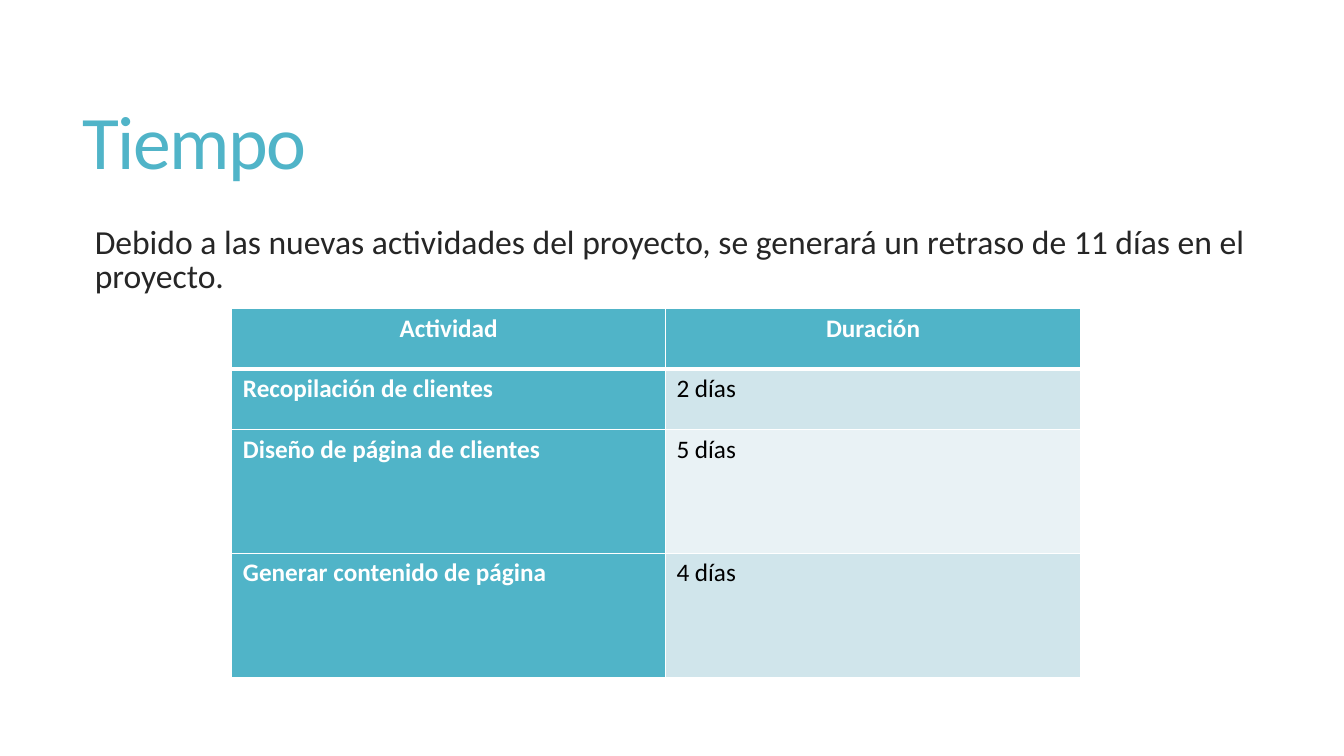
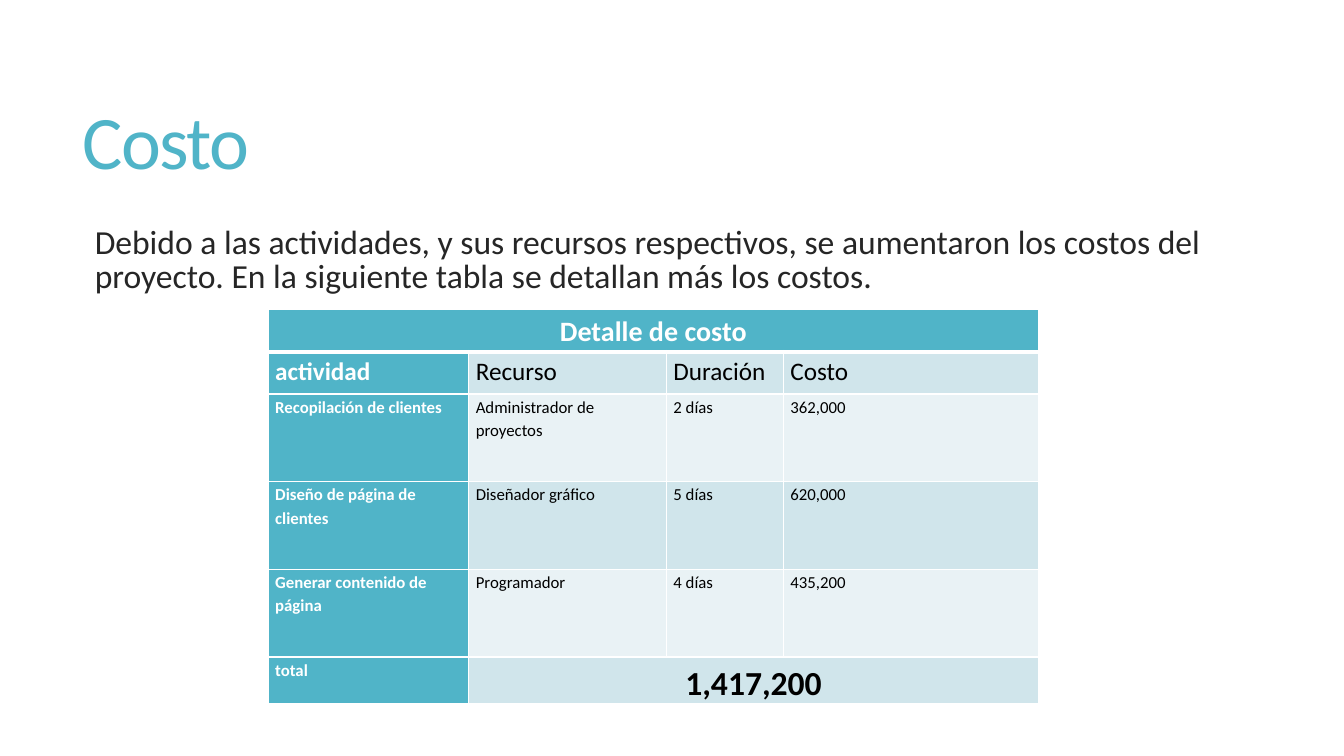
import pptx
import pptx.util
import pptx.dml.color
import pptx.enum.text
import pptx.oxml

Inches = pptx.util.Inches
Pt = pptx.util.Pt
RGB = pptx.dml.color.RGBColor
ALIGN = pptx.enum.text.PP_ALIGN
ANCHOR = pptx.enum.text.MSO_ANCHOR

# Shared style
FONT = "Calibri"
TEAL = RGB(0x50, 0xB4, 0xC8)
BAND = RGB(0xD0, 0xE5, 0xEB)
PALE = RGB(0xE9, 0xF2, 0xF5)
INK = RGB(0x26, 0x26, 0x26)
BLACK = RGB(0, 0, 0)
WHITE = RGB(0xFF, 0xFF, 0xFF)
NS = "http://schemas.openxmlformats.org/drawingml/2006/main"


def write(frame, text, size, color, bold=False, align=ALIGN.LEFT,
          line=1.0, before=0, after=0, track=0):
    frame.word_wrap = True
    para = frame.paragraphs[0]
    para.alignment = align
    para.line_spacing = line
    para.space_before = Pt(before)
    para.space_after = Pt(after)
    run = para.add_run()
    run.text = text
    font = run.font
    font.name, font.size, font.bold = FONT, Pt(size), bold
    font.color.rgb = color
    if track:
        run._r.get_or_add_rPr().set("spc", str(round(track * 100)))


def place(shape, left, top, width, height):
    shape.left, shape.top = Inches(left), Inches(top)
    shape.width, shape.height = Inches(width), Inches(height)


def add_page(deck, title, body):
    slide = deck.slides.add_slide(deck.slide_layouts[5])
    # Title
    head = slide.shapes.title
    place(head, 0.72, 0.55, 11.78, 1.81)
    frame = head.text_frame
    frame.auto_size = pptx.enum.text.MSO_AUTO_SIZE.NONE
    frame.vertical_anchor = ANCHOR.MIDDLE
    write(frame, title, 54, TEAL, line=0.85, track=-1.2)
    # Lead text
    box = slide.shapes.add_textbox(Inches(0.74), Inches(2.2),
                                   Inches(11.76), Inches(4.12))
    box.text_frame.margin_left = Inches(0.2)
    write(box.text_frame, body, 24, INK, line=0.85, before=13)
    return slide


def add_edges(cell, under):
    props = cell._tc.get_or_add_tcPr()
    for side, width in (("L", 1), ("R", 1), ("T", 1), ("B", under)):
        props.append(pptx.oxml.parse_xml(
            f'<a:ln{side} xmlns:a="{NS}" w="{Pt(width)}"><a:solidFill>'
            f'<a:srgbClr val="{WHITE}"/></a:solidFill></a:ln{side}>'))


def add_grid(slide, left, top, cols, rows, data, sizes, inset):
    """Teal header row and first column, banded body; None joins leftwards."""
    grid = slide.shapes.add_table(
        len(rows), len(cols), Inches(left), Inches(top),
        Inches(sum(cols)), Inches(sum(rows))).table
    grid.horz_banding = False
    for col, width in zip(grid.columns, cols):
        col.width = Inches(width)
    for row, height in zip(grid.rows, rows):
        row.height = Inches(height)

    for r, texts in enumerate(data):
        for c, text in enumerate(texts):
            cell = grid.cell(r, c)
            key = r == 0 or c == 0
            joined = None in texts[c + 1:c + 2]
            add_edges(cell, 3 if r == 0 else 1)
            cell.fill.solid()
            cell.fill.fore_color.rgb = TEAL if key else BAND if r % 2 else PALE
            cell.margin_left = cell.margin_right = Inches(inset)
            cell.margin_top = cell.margin_bottom = 0
            if text is None:
                continue
            write(cell.text_frame, text, 24 if joined and not key else sizes[r],
                  WHITE if key else BLACK, bold=key or joined,
                  align=ALIGN.CENTER if r == 0 or joined else ALIGN.LEFT,
                  line=1.15, after=10)
            if joined:
                cell.merge(grid.cell(r, len(cols) - 1))


def main():
    deck = pptx.Presentation()
    deck.slide_width, deck.slide_height = Inches(13.33), Inches(7.5)

    # Time
    slide = add_page(deck, "Tiempo",
                     "Debido a las nuevas actividades del proyecto, se "
                     "generará un retraso de 11 días en el proyecto.")
    add_grid(slide, 2.3, 3.06, [4.3, 4.12], [0.6, 0.6, 1.23, 1.23], [
        ["Actividad", "Duración"],
        ["Recopilación de clientes", "2 días"],
        ["Diseño de página de clientes", "5 días"],
        ["Generar contenido de página", "4 días"],
    ], [18] * 4, 0.11)

    # Cost
    slide = add_page(deck, "Costo",
                     "Debido a las actividades, y sus recursos respectivos, "
                     "se aumentaron los costos del proyecto. En la siguiente "
                     "tabla se detallan más los costos.")
    add_grid(slide, 2.66, 3.07, [1.99, 1.96, 1.16, 2.53],
             [0.42, 0.42, 0.87, 0.87, 0.87, 0.42], [
        ["Detalle de costo", None, None, None],
        ["actividad", "Recurso", "Duración", "Costo"],
        ["Recopilación de clientes", "Administrador de proyectos",
         "2 días", "362,000"],
        ["Diseño de página de clientes", "Diseñador gráfico",
         "5 días", "620,000"],
        ["Generar contenido de página", "Programador", "4 días", "435,200"],
        ["total", "1,417,200", None, None],
    ], [20, 18, 12, 12, 12, 12], 0.07)

    deck.save("out.pptx")


main()
